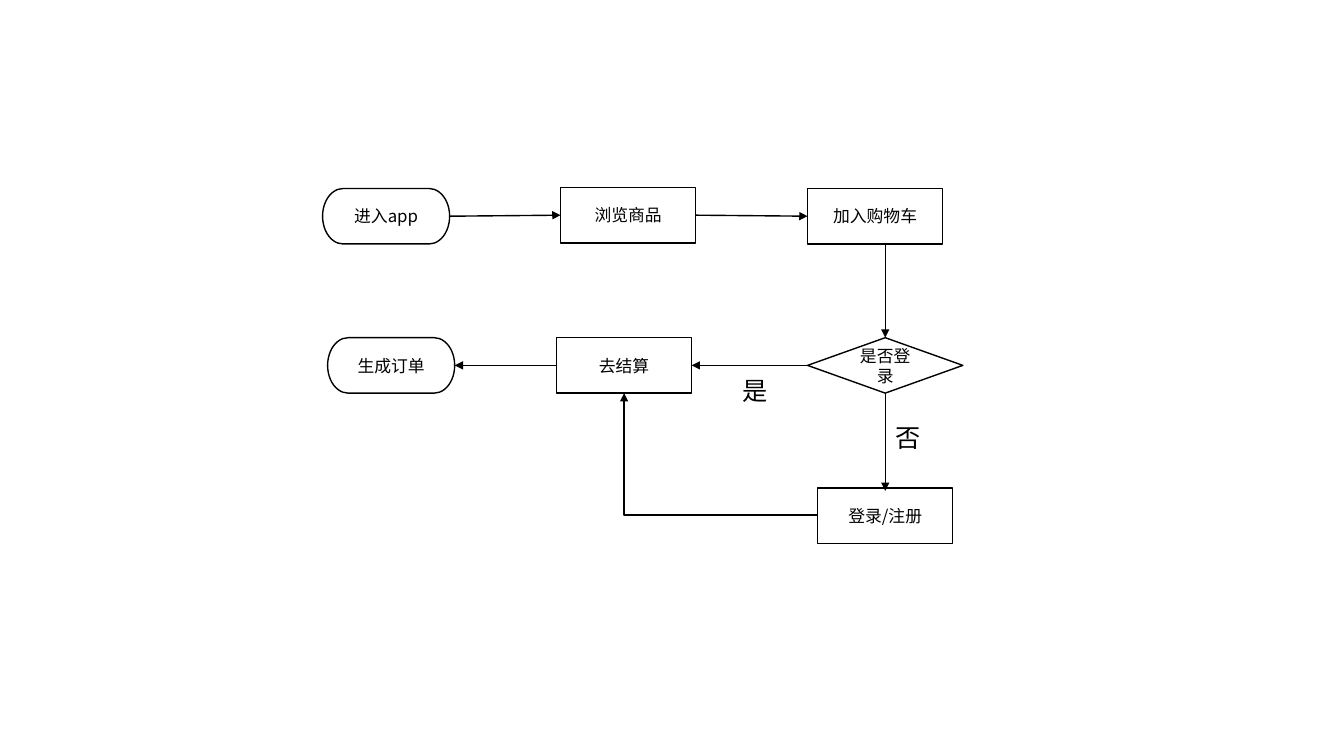
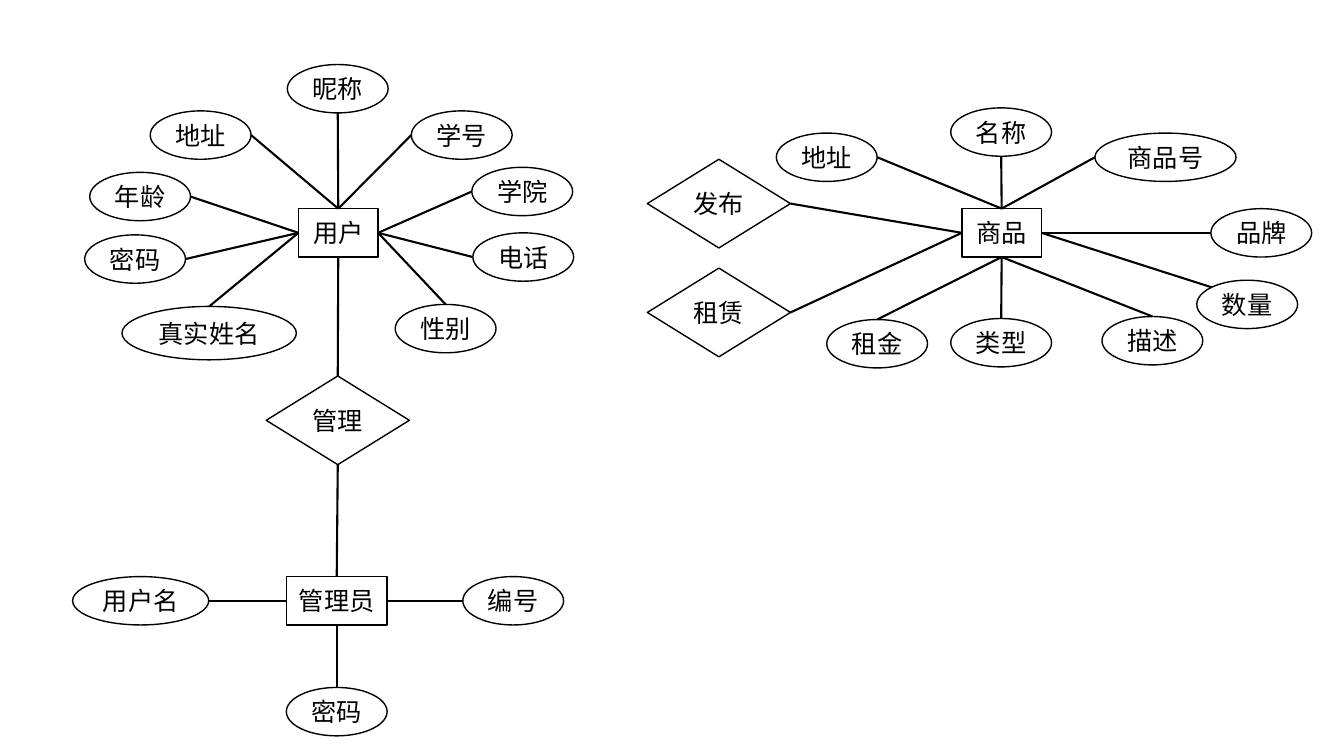
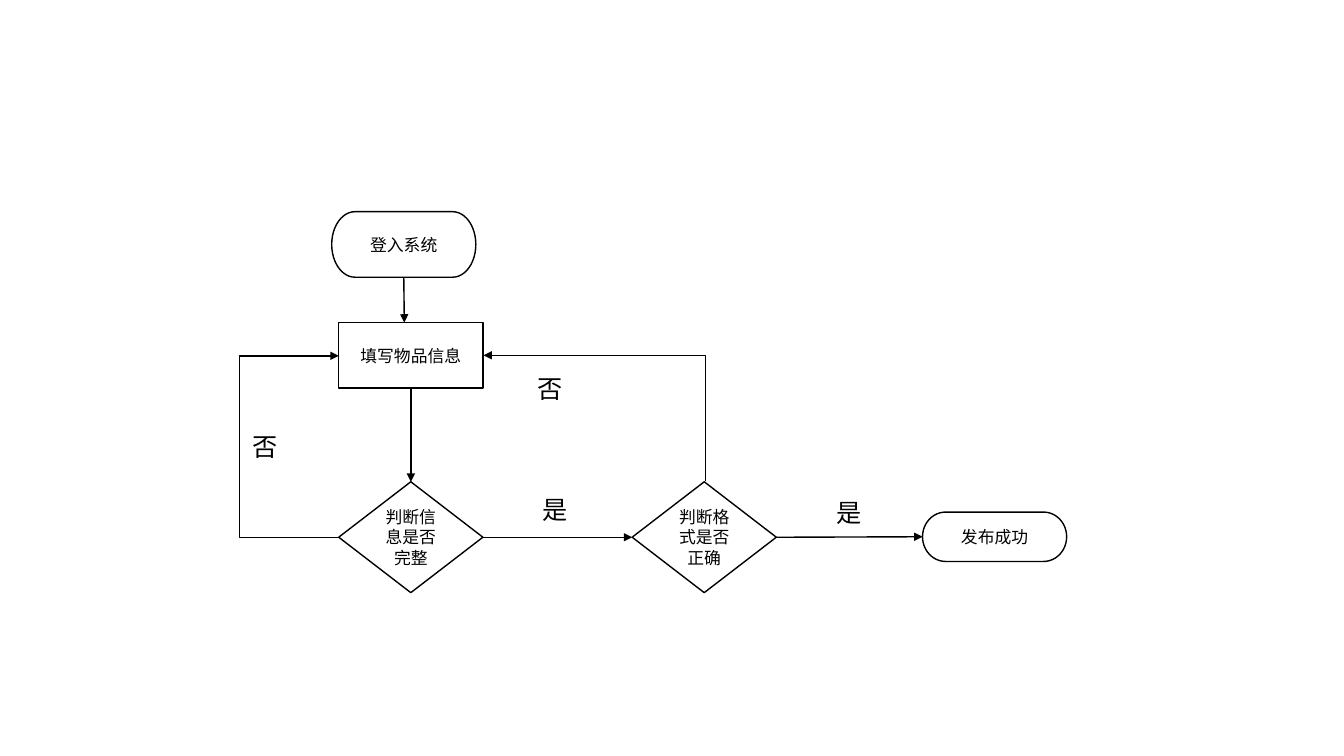
from math import sqrt

from lxml import etree
from pptx import Presentation
from pptx import util as u
from pptx.dml.color import RGBColor
from pptx.enum import shapes, text
from pptx.oxml.ns import qn

PX = 9144
BLACK = RGBColor(0, 0, 0)
WHITE = RGBColor(255, 255, 255)
FONT = "Noto Sans CJK SC"
KIND = shapes.MSO_SHAPE
SITES = {"top": 0, "left": 1, "bottom": 2, "right": 3}
ANCHORS = {"top": (0, -1), "left": (-1, 0), "bottom": (0, 1), "right": (1, 0),
           "top left": (-sqrt(0.5), -sqrt(0.5))}


def px(value):
    return u.Emu(value * PX)


def write(frame, content, size=18, color=BLACK, align=text.PP_ALIGN.CENTER):
    paragraph = frame.paragraphs[0]
    paragraph.alignment = align
    run = paragraph.add_run()
    run.text = content
    run.font.size = u.Pt(size)
    run.font.color.rgb = color
    run.font.name = FONT
    etree.SubElement(run.font._element, qn("a:ea")).set("typeface", FONT)


class Diagram:
    def __init__(self):
        self.presentation = Presentation()
        self.presentation.slide_width = px(1333)
        self.presentation.slide_height = px(750)
        self.slide = None

    def new_slide(self, size, weight, arrow):
        layout = self.presentation.slide_layouts[6]
        self.slide = self.presentation.slides.add_slide(layout)
        self.size, self.weight, self.arrow = size, weight, arrow

    def node(self, kind, content, left, top, width, height):
        shape = self.slide.shapes.add_shape(kind, px(left), px(top), px(width), px(height))
        shape.shadow.inherit = False
        shape.fill.solid()
        shape.fill.fore_color.rgb = WHITE
        shape.line.color.rgb = BLACK
        shape.line.width = u.Pt(1)
        shape.text_frame.vertical_anchor = text.MSO_ANCHOR.MIDDLE
        write(shape.text_frame, content, size=self.size)
        return shape

    def label(self, content, left, top, outlined=False):
        box = self.slide.shapes.add_textbox(px(left), px(top), px(45), px(40))
        box.text_frame.word_wrap = False
        box.text_frame.auto_size = text.MSO_AUTO_SIZE.SHAPE_TO_FIT_TEXT
        write(box.text_frame, content, align=text.PP_ALIGN.LEFT)
        if outlined:
            box.line.color.rgb = WHITE
            box.line.width = u.Pt(0.75)

    def point(self, end):
        place, side = end
        if not isinstance(side, str):
            return px(place), px(side)
        across, down = ANCHORS[side]
        return (u.Emu(int(place.left + place.width * (1 + across) / 2)),
                u.Emu(int(place.top + place.height * (1 + down) / 2)))

    def glue(self, end, connect):
        shape, side = end
        if isinstance(side, str) and shape.auto_shape_type != KIND.OVAL:
            connect(shape, SITES[side])

    def link(self, start, end, kind=shapes.MSO_CONNECTOR.STRAIGHT):
        connector = self.slide.shapes.add_connector(kind, *self.point(start), *self.point(end))
        self.glue(start, connector.begin_connect)
        self.glue(end, connector.end_connect)
        connector.line.color.rgb = BLACK
        connector.line.width = u.Pt(self.weight)
        properties = connector.element.spPr
        if self.arrow:
            etree.SubElement(properties.find(qn("a:ln")), qn("a:tailEnd")).set("type", "triangle")
        etree.SubElement(properties, qn("a:effectLst"))
        return connector

    def elbow(self, start, end, frame, preset, rotation, flip=False, bend=None):
        connector = self.link(start, end, shapes.MSO_CONNECTOR.ELBOW)
        transform = connector.element.spPr.find(qn("a:xfrm"))
        transform.attrib.clear()
        transform.set("rot", str(rotation * 60000))
        if flip:
            transform.set("flipV", "1")
        connector.left, connector.top, connector.width, connector.height = map(px, frame)
        geometry = connector.element.spPr.find(qn("a:prstGeom"))
        geometry.set("prst", preset)
        if bend is not None:
            adjustments = geometry.find(qn("a:avLst"))
            if adjustments is None:
                adjustments = etree.SubElement(geometry, qn("a:avLst"))
            guide = etree.SubElement(adjustments, qn("a:gd"))
            guide.set("name", "adj1")
            guide.set("fmla", f"val {bend * 100000}")

    def spokes(self, hub, attributes):
        for content, left, top, width, height, side, hub_side in attributes:
            ellipse = self.node(KIND.OVAL, content, left, top, width, height)
            self.link((ellipse, side), (hub, hub_side))


def order_flow(diagram):
    diagram.new_slide(size=12, weight=1, arrow=True)
    terminator, process = KIND.FLOWCHART_TERMINATOR, KIND.FLOWCHART_PROCESS
    enter = diagram.node(terminator, "进入app", 320, 187, 126, 55)
    browse = diagram.node(process, "浏览商品", 556, 186, 134, 55)
    checkout = diagram.node(process, "去结算", 552, 335, 134, 55)
    login = diagram.node(process, "登录/注册", 811, 484, 134, 55)
    cart = diagram.node(process, "加入购物车", 801, 187, 134, 55)
    decision = diagram.node(KIND.FLOWCHART_DECISION, "是否登录", 801, 335, 154, 55)
    order = diagram.node(terminator, "生成订单", 325, 335, 126, 55)
    for start, end in (
        ((enter, "right"), (browse, "left")),
        ((browse, "right"), (cart, "left")),
        ((878, 242), (decision, "top")),
        ((decision, "bottom"), (878, 487)),
        ((decision, "left"), (checkout, "right")),
        ((checkout, "left"), (order, "right")),
    ):
        diagram.link(start, end)
    diagram.elbow((login, "left"), (checkout, "bottom"), (619, 390, 192, 121),
                  "bentConnector2", 180)
    diagram.label("否", 878, 414)
    diagram.label("是", 727, 367)


def entity_relations(diagram):
    diagram.new_slide(size=18, weight=1.5, arrow=False)
    user = diagram.node(KIND.RECTANGLE, "用户", 296, 207, 79, 48)
    product = diagram.node(KIND.RECTANGLE, "商品", 954, 207, 79, 48)
    admin = diagram.node(KIND.RECTANGLE, "管理员", 284, 572, 100, 48)
    manage = diagram.node(KIND.DIAMOND, "管理", 264, 373, 142, 88)
    publish = diagram.node(KIND.DIAMOND, "发布", 642, 158, 142, 88)
    rent = diagram.node(KIND.DIAMOND, "租赁", 642, 266, 142, 88)
    diagram.spokes(user, (
        ("昵称", 285, 64, 100, 48, "bottom", "top"),
        ("地址", 149, 110, 100, 48, "right", "top"),
        ("学号", 408, 110, 100, 48, "left", "top"),
        ("年龄", 89, 171, 100, 48, "right", "left"),
        ("密码", 84, 233, 100, 48, "right", "left"),
        ("真实姓名", 121, 304, 173, 53, "top", "left"),
        ("学院", 468, 166, 100, 48, "left", "right"),
        ("电话", 469, 231, 100, 48, "left", "right"),
        ("性别", 392, 302, 100, 48, "top", "right"),
    ))
    diagram.spokes(product, (
        ("名称", 943, 107, 100, 48, "bottom", "top"),
        ("地址", 770, 132, 100, 48, "right", "top"),
        ("商品号", 1086, 132, 140, 48, "left", "top"),
        ("品牌", 1201, 207, 100, 48, "left", "right"),
        ("数量", 1187, 278, 100, 48, "top left", "right"),
        ("租金", 820, 317, 100, 48, "top", "bottom"),
        ("类型", 943, 316, 100, 48, "top", "bottom"),
        ("描述", 1093, 314, 100, 48, "top", "bottom"),
    ))
    diagram.spokes(admin, (
        ("用户名", 72, 572, 135, 48, "right", "left"),
        ("密码", 284, 682, 100, 48, "top", "bottom"),
        ("编号", 459, 572, 100, 48, "left", "right"),
    ))
    diagram.link((manage, "top"), (user, "bottom"))
    diagram.link((admin, "top"), (manage, "bottom"))
    for relation in (publish, rent):
        diagram.link((relation, "right"), (product, "left"))


def publish_flow(diagram):
    diagram.new_slide(size=12, weight=1, arrow=True)
    terminator, decision = KIND.FLOWCHART_TERMINATOR, KIND.FLOWCHART_DECISION
    enter = diagram.node(terminator, "登入系统", 329, 210, 143, 65)
    fill_in = diagram.node(KIND.RECTANGLE, "填写物品信息", 336, 320, 143, 65)
    complete = diagram.node(decision, "判断信息是否完整", 336, 478, 143, 110)
    correct = diagram.node(decision, "判断格式是否正确", 627, 478, 143, 110)
    done = diagram.node(terminator, "发布成功", 915, 508, 143, 49)
    for start, end in (
        ((enter, "bottom"), (401, 320)),
        ((fill_in, "bottom"), (complete, "top")),
        ((complete, "right"), (correct, "left")),
        ((correct, "right"), (done, "left")),
    ):
        diagram.link(start, end)
    diagram.elbow((complete, "left"), (fill_in, "left"), (336, 353, 1, 180),
                  "bentConnector3", 180, bend=101)
    diagram.elbow((correct, "top"), (fill_in, "right"), (527, 305, 125, 220),
                  "bentConnector2", 270, flip=True)
    for content, left, top in (("否", 241, 423), ("是", 528, 485),
                               ("否", 523, 365), ("是", 820, 488)):
        diagram.label(content, left, top, outlined=True)


def main():
    diagram = Diagram()
    order_flow(diagram)
    entity_relations(diagram)
    publish_flow(diagram)
    diagram.presentation.save("out.pptx")


if __name__ == "__main__":
    main()
